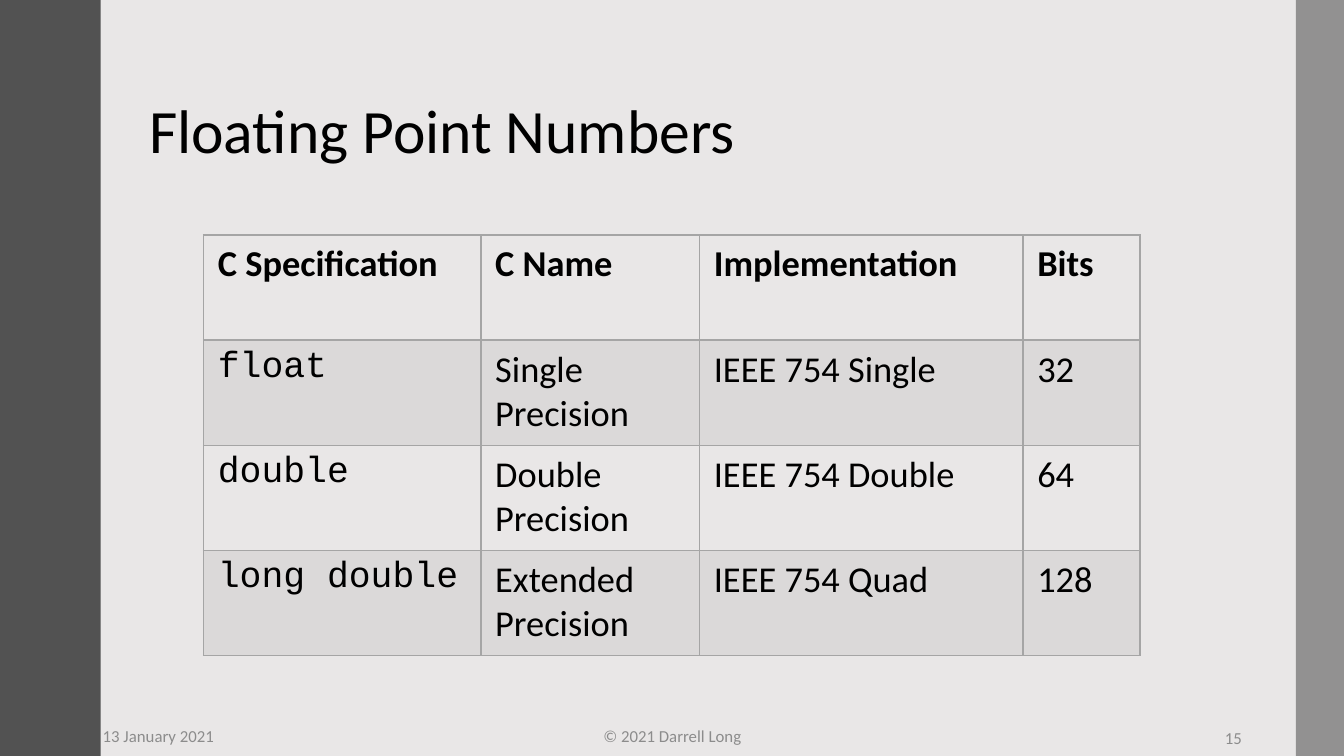
from dataclasses import dataclass

from lxml.etree import SubElement
from pptx import Presentation
from pptx.dml.color import RGBColor
from pptx.dml.fill import FillFormat
from pptx.enum.shapes import MSO_SHAPE
from pptx.enum.text import MSO_ANCHOR, PP_ALIGN
from pptx.oxml import parse_xml
from pptx.oxml.ns import nsdecls, qn
from pptx.slide import Slide
from pptx.table import _Cell
from pptx.text.text import _Paragraph
from pptx.util import Cm, Pt

PAPER = RGBColor(0xE9, 0xE7, 0xE7)
BLACK = RGBColor(0, 0, 0)
DARK = RGBColor(0x52, 0x52, 0x52)
SLATE = RGBColor(0x59, 0x59, 0x59)
GREY = RGBColor(0xA5, 0xA5, 0xA5)
FAINT = RGBColor(0x8C, 0x8C, 0x8C)
SANS = "Calibri"
MONO = "Courier New"

WIDTH, HEIGHT = 33.87, 19.05
COLS = (6.99, 5.51, 8.15, 2.95)
ROW = 2.65
DATA = (
    ("C Specification", "C Name", "Implementation", "Bits"),
    ("float", "Single Precision", "IEEE 754 Single", "32"),
    ("double", "Double Precision", "IEEE 754 Double", "64"),
    ("long double", "Extended Precision", "IEEE 754 Quad", "128"),
)


@dataclass
class Bar:
    left: float
    width: float
    color: RGBColor
    alpha: int


@dataclass
class Label:
    text: str
    left: float
    top: float
    width: float
    height: float
    size: int
    color: RGBColor
    align: PP_ALIGN = PP_ALIGN.LEFT
    line: float = 1.0


BARS = (Bar(0, 2.54, DARK, 100), Bar(32.66, 1.21, SLATE, 60))
LABELS = (
    Label("Floating Point Numbers", 3.51, 1.52, 27.38, 3.68, 44, BLACK, line=0.9),
    Label("© 2021 Darrell Long", 11.23, 18.03, 11.43, 1.02, 12, FAINT, PP_ALIGN.CENTER),
    Label("15", 23.93, 18.08, 7.62, 1.02, 12, FAINT, PP_ALIGN.RIGHT),
    Label("13 January 2021", 2.34, 18.03, 7.62, 1.02, 12, FAINT),
)


def style(par: _Paragraph, size: int, color: RGBColor, face: str = SANS, bold: bool = False) -> None:
    for run in par.runs:
        run.font.size = Pt(size)
        run.font.name = face
        run.font.bold = bold
        run.font.color.rgb = color


def tint(fill: FillFormat, holder, color: RGBColor, alpha: int) -> None:
    fill.solid()
    fill.fore_color.rgb = color
    if alpha < 100:
        tone = holder.find(qn("a:solidFill")).find(qn("a:srgbClr"))
        SubElement(tone, qn("a:alpha")).set("val", str(alpha * 1000))


def add_bar(slide: Slide, bar: Bar) -> None:
    shape = slide.shapes.add_shape(
        MSO_SHAPE.RECTANGLE, Cm(bar.left), 0, Cm(bar.width), Cm(HEIGHT))
    shape.shadow.inherit = False
    shape.line.fill.background()
    tint(shape.fill, shape.element.spPr, bar.color, bar.alpha)


def add_label(slide: Slide, label: Label) -> None:
    box = slide.shapes.add_textbox(
        Cm(label.left), Cm(label.top), Cm(label.width), Cm(label.height))
    frame = box.text_frame
    frame.word_wrap = True
    frame.vertical_anchor = MSO_ANCHOR.MIDDLE
    frame.text = label.text
    par = frame.paragraphs[0]
    par.alignment = label.align
    par.line_spacing = label.line
    style(par, label.size, label.color)


def add_edges(cell: _Cell, row: int) -> None:
    props = cell._tc.get_or_add_tcPr()
    widths = {"L": 1, "R": 1, "T": 2 if row == 1 else 1, "B": 2 if row == 0 else 1}
    for spot, (side, width) in enumerate(widths.items()):
        props.insert(spot, parse_xml(
            f'<a:ln{side} {nsdecls("a")} w="{Pt(width)}"><a:solidFill>'
            f'<a:srgbClr val="{GREY}"/></a:solidFill></a:ln{side}>'))


def fill_cell(cell: _Cell, text: str, row: int, col: int) -> None:
    cell.margin_left = cell.margin_right = Cm(0.36)
    cell.margin_top = cell.margin_bottom = Cm(0.18)
    cell.text = text
    face = MONO if row and col == 0 else SANS
    style(cell.text_frame.paragraphs[0], 26, BLACK, face, row == 0)
    if row % 2:
        tint(cell.fill, cell._tc.get_or_add_tcPr(), GREY, 20)
    else:
        cell.fill.background()
    add_edges(cell, row)


def add_grid(slide: Slide) -> None:
    table = slide.shapes.add_table(
        len(DATA), len(COLS), Cm(5.13), Cm(5.92),
        Cm(sum(COLS)), Cm(ROW * len(DATA))).table
    table.horz_banding = False
    for col, width in enumerate(COLS):
        table.columns[col].width = Cm(width)
    for row, texts in enumerate(DATA):
        table.rows[row].height = Cm(ROW)
        for col, text in enumerate(texts):
            fill_cell(table.cell(row, col), text, row, col)


def main() -> None:
    deck = Presentation()
    deck.slide_width, deck.slide_height = Cm(WIDTH), Cm(HEIGHT)
    slide = deck.slides.add_slide(deck.slide_layouts[6])
    slide.background.fill.solid()
    slide.background.fill.fore_color.rgb = PAPER
    for bar in BARS:
        add_bar(slide, bar)
    add_grid(slide)
    for label in LABELS:
        add_label(slide, label)
    deck.save("out.pptx")


if __name__ == "__main__":
    main()
